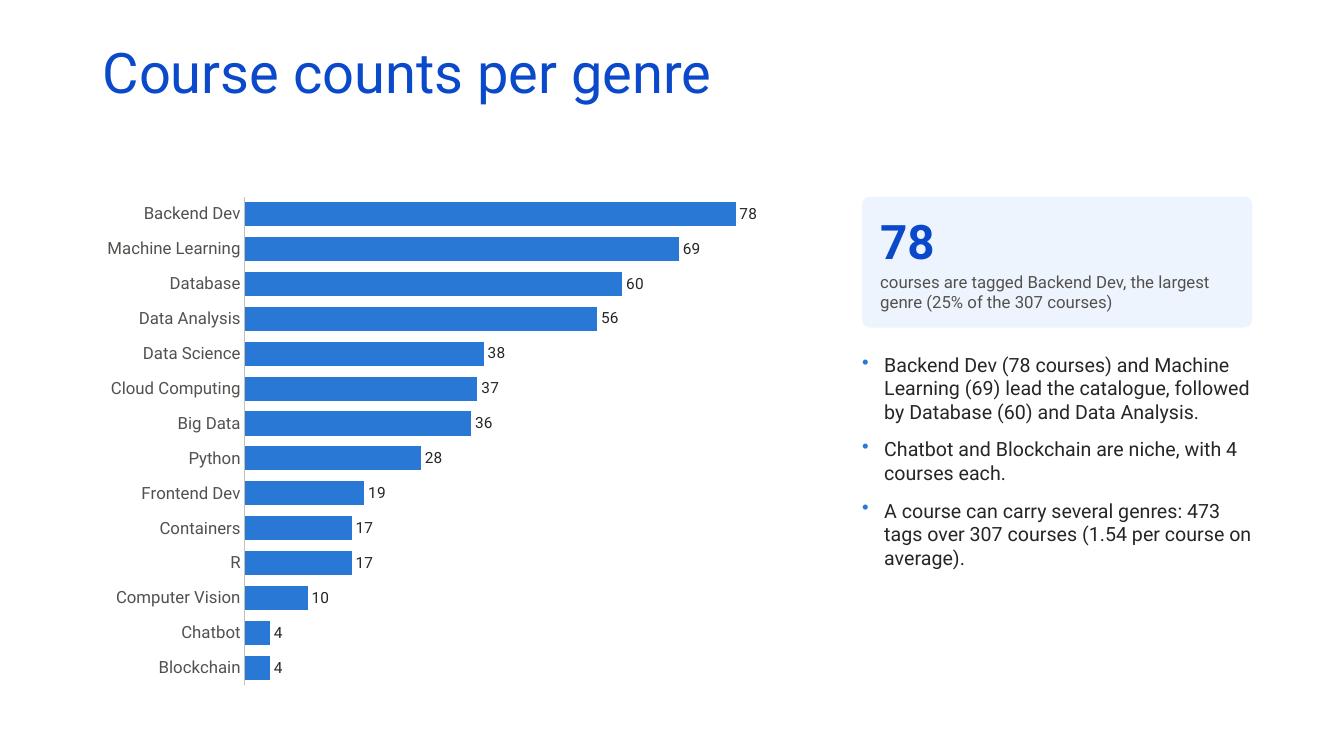
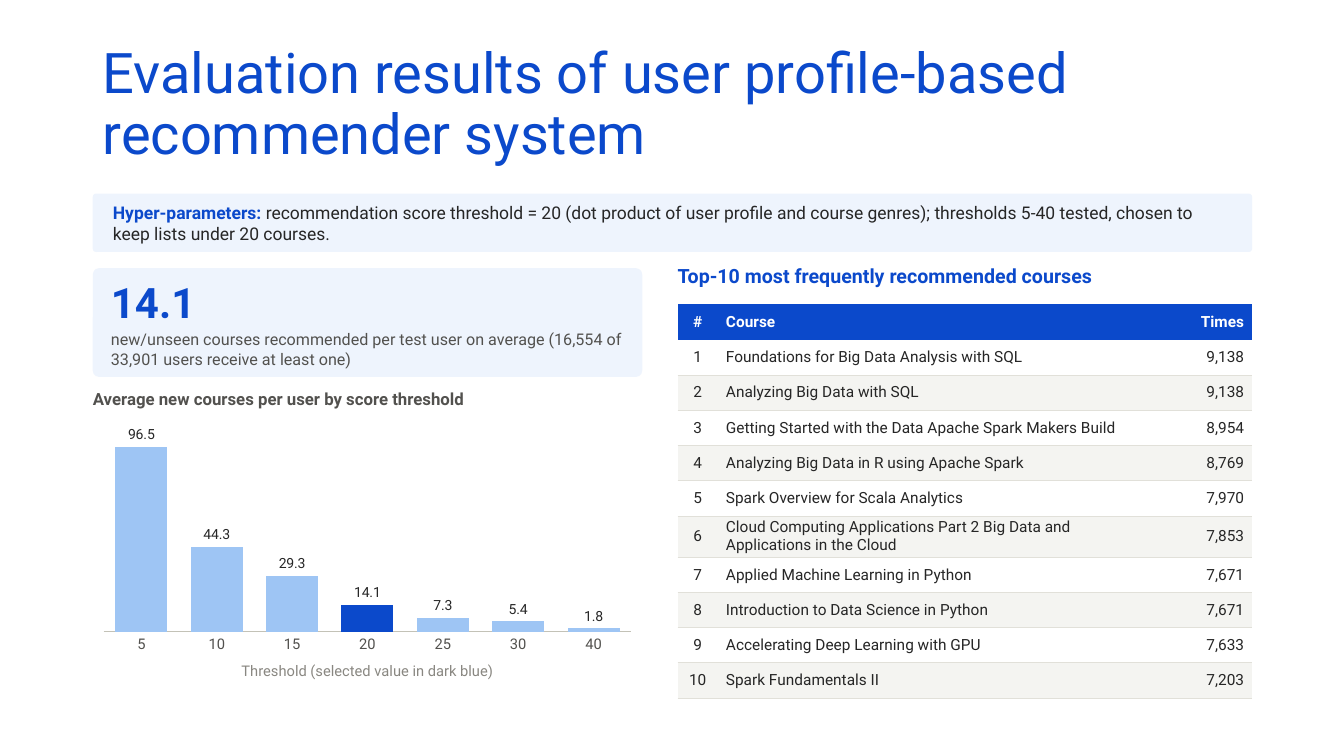
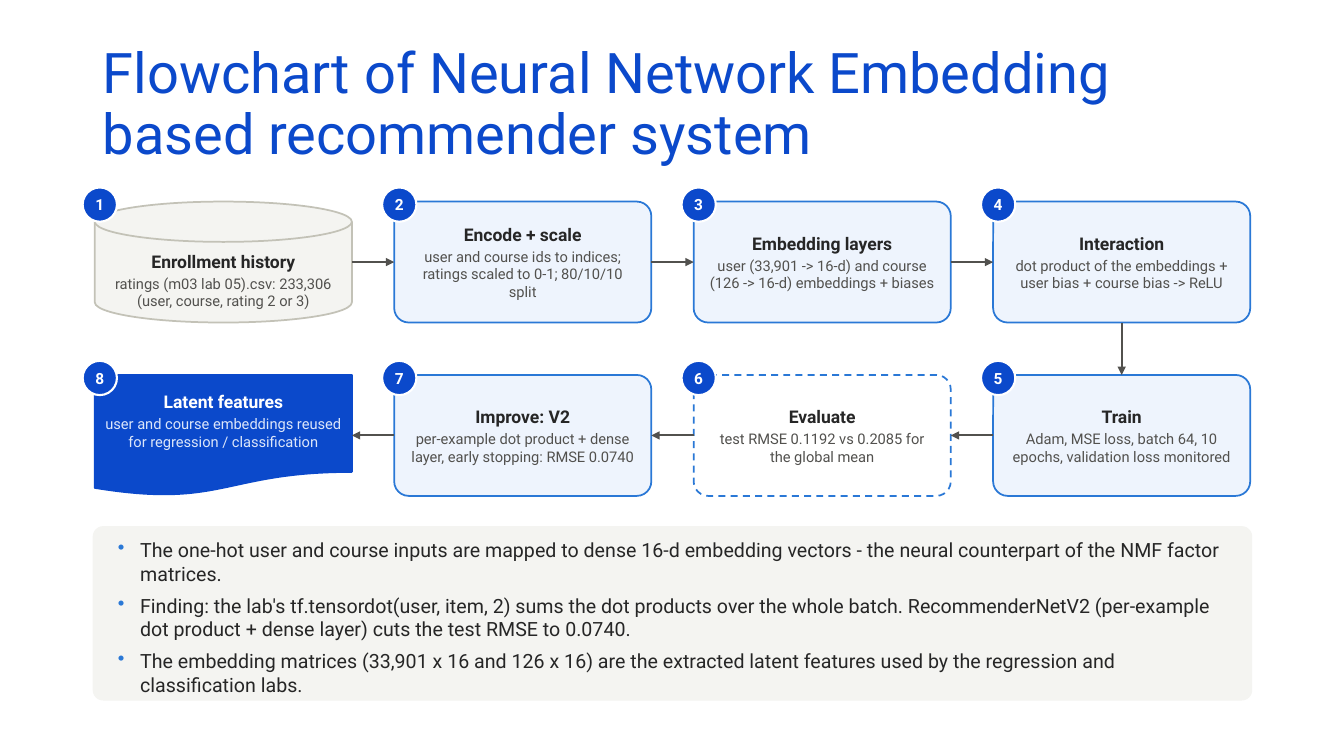
"""Build three slides on a course recommender: genre counts, evaluation and flowchart."""
from lxml.etree import SubElement
from pptx import Presentation
from pptx.chart.data import CategoryChartData
from pptx.dml.color import RGBColor
from pptx.enum.chart import XL_CHART_TYPE as ChartType
from pptx.enum.chart import XL_LABEL_POSITION as LabelPosition
from pptx.enum.chart import XL_TICK_MARK as TickMark
from pptx.enum.dml import MSO_LINE as LineStyle
from pptx.enum.shapes import MSO_CONNECTOR as Connector
from pptx.enum.shapes import MSO_SHAPE as Shape
from pptx.enum.text import MSO_ANCHOR as Anchor
from pptx.enum.text import MSO_AUTO_SIZE as AutoSize
from pptx.enum.text import PP_ALIGN as Align
from pptx.oxml.ns import qn
from pptx.util import Inches, Pt

FONT = "Roboto"
NAVY = RGBColor(0x0B, 0x49, 0xCB)
BLUE = RGBColor(0x2A, 0x78, 0xD6)
SKY = RGBColor(0x9E, 0xC5, 0xF4)
PALE = RGBColor(0xEE, 0xF4, 0xFD)
ICE = RGBColor(0xDC, 0xE6, 0xFA)
WHITE = RGBColor(0xFF, 0xFF, 0xFF)
INK = RGBColor(0x26, 0x26, 0x26)
GREY = RGBColor(0x52, 0x51, 0x4E)
MUTED = RGBColor(0x89, 0x87, 0x81)
AXIS = RGBColor(0xC3, 0xC2, 0xB7)
RULE = RGBColor(0xE1, 0xE0, 0xD9)
STONE = RGBColor(0xF4, 0xF4, 0xF1)
NO_TABLE_STYLE = "{2D5ABB26-0587-4C30-8999-92F81FD0307C}"

SLIDE_WIDTH, SLIDE_HEIGHT = 13.33, 7.5
LEFT, WIDTH = 0.92, 11.5
RIGHT = LEFT + WIDTH

GENRES = [
    ("Backend Dev", 78), ("Machine Learning", 69), ("Database", 60), ("Data Analysis", 56),
    ("Data Science", 38), ("Cloud Computing", 37), ("Big Data", 36), ("Python", 28),
    ("Frontend Dev", 19), ("Containers", 17), ("R", 17), ("Computer Vision", 10),
    ("Chatbot", 4), ("Blockchain", 4),
]
GENRE_NOTES = [
    "Backend Dev (78 courses) and Machine Learning (69) lead the catalogue, followed by "
    "Database (60) and Data Analysis.",
    "Chatbot and Blockchain are niche, with 4 courses each.",
    "A course can carry several genres: 473 tags over 307 courses (1.54 per course on average).",
]
THRESHOLDS = [("5", 96.5), ("10", 44.3), ("15", 29.3), ("20", 14.1), ("25", 7.3), ("30", 5.4),
              ("40", 1.8)]
SELECTED_THRESHOLD = "20"
HYPER_PARAMETERS = (
    "recommendation score threshold = 20 (dot product of user profile and course genres); "
    "thresholds 5-40 tested, chosen to keep lists under 20 courses."
)
TOP_COURSES = [
    ("Foundations for Big Data Analysis with SQL", "9,138"),
    ("Analyzing Big Data with SQL", "9,138"),
    ("Getting Started with the Data Apache Spark Makers Build", "8,954"),
    ("Analyzing Big Data in R using Apache Spark", "8,769"),
    ("Spark Overview for Scala Analytics", "7,970"),
    ("Cloud Computing Applications Part 2 Big Data and Applications in the Cloud", "7,853"),
    ("Applied Machine Learning in Python", "7,671"),
    ("Introduction to Data Science in Python", "7,671"),
    ("Accelerating Deep Learning with GPU", "7,633"),
    ("Spark Fundamentals II", "7,203"),
]
TABLE_COLUMNS = [(0.4, Align.CENTER), (4.35, Align.LEFT), (0.95, Align.RIGHT)]

STEPS = [
    ("Enrollment history", "ratings (m03 lab 05).csv: 233,306 (user, course, rating 2 or 3)",
     "data"),
    ("Encode + scale", "user and course ids to indices; ratings scaled to 0-1; 80/10/10 split",
     "process"),
    ("Embedding layers", "user (33,901 -> 16-d) and course (126 -> 16-d) embeddings + biases",
     "process"),
    ("Interaction", "dot product of the embeddings + user bias + course bias -> ReLU", "process"),
    ("Train", "Adam, MSE loss, batch 64, 10 epochs, validation loss monitored", "process"),
    ("Evaluate", "test RMSE 0.1192 vs 0.2085 for the global mean", "check"),
    ("Improve: V2", "per-example dot product + dense layer, early stopping: RMSE 0.0740",
     "process"),
    ("Latent features", "user and course embeddings reused for regression / classification",
     "output"),
]
STEP_STYLES = {
    "data": (Shape.FLOWCHART_MAGNETIC_DISK, STONE, AXIS, INK, GREY, 0.22, 0.06),
    "process": (Shape.ROUNDED_RECTANGLE, PALE, BLUE, INK, GREY, 0.06, 0.06),
    "check": (Shape.ROUNDED_RECTANGLE, WHITE, BLUE, INK, GREY, 0.06, 0.06),
    "output": (Shape.FLOWCHART_DOCUMENT, NAVY, NAVY, WHITE, ICE, 0.06, 0.12),
}
FLOW_NOTES = [
    "The one-hot user and course inputs are mapped to dense 16-d embedding vectors - the neural "
    "counterpart of the NMF factor matrices.",
    "Finding: the lab's tf.tensordot(user, item, 2) sums the dot products over the whole batch. "
    "RecommenderNetV2 (per-example dot product + dense layer) cuts the test RMSE to 0.0740.",
    "The embedding matrices (33,901 x 16 and 126 x 16) are the extracted latent features used by "
    "the regression and classification labs.",
]


def box(*lengths):
    return [Inches(length) for length in lengths]


def set_font(font, size, color, bold=False):
    font.name, font.size, font.bold = FONT, Pt(size), bold
    font.color.rgb = color


def set_margins(target, left, top, right, bottom):
    target.margin_left, target.margin_top, target.margin_right, target.margin_bottom = box(
        left, top, right, bottom)


def write(frame, lines, align=Align.LEFT, gap=0, bullets=False):
    """Fill a text frame; each line is a list of (text, size, color, bold) runs."""
    frame.word_wrap = True
    for index, runs in enumerate(lines):
        paragraph = frame.paragraphs[0] if index == 0 else frame.add_paragraph()
        paragraph.alignment = align
        if index < len(lines) - 1:
            paragraph.space_after = Pt(gap)
        if bullets:
            add_bullet(paragraph)
        for text, *style in runs:
            run = paragraph.add_run()
            run.text = text
            set_font(run.font, *style)


def add_bullet(paragraph):
    properties = paragraph._p.get_or_add_pPr()
    properties.set("marL", str(Inches(0.22)))
    properties.set("indent", str(-Inches(0.22)))
    color = SubElement(properties, qn("a:buClr"))
    SubElement(color, qn("a:srgbClr"), val=str(BLUE))
    SubElement(properties, qn("a:buChar"), char="•")


def add_text(slide, place, lines, anchor=Anchor.TOP, **options):
    frame = slide.shapes.add_textbox(*box(*place)).text_frame
    set_margins(frame, 0, 0, 0, 0)
    frame.vertical_anchor = anchor
    write(frame, lines, **options)
    frame.auto_size = AutoSize.SHAPE_TO_FIT_TEXT


def add_notes_list(slide, place, notes, gap):
    add_text(slide, place, [[(note, 14, INK)] for note in notes], gap=gap, bullets=True)


def add_shape(slide, kind, place, fill, line=None, line_width=1.25, corner=None):
    shape = slide.shapes.add_shape(kind, *box(*place))
    shape.shadow.inherit = False
    shape.fill.solid()
    shape.fill.fore_color.rgb = fill
    if line is None:
        shape.line.fill.background()
    else:
        shape.line.color.rgb = line
        shape.line.width = Pt(line_width)
    if corner is not None:
        shape.adjustments[0] = corner
    return shape


def add_panel(slide, place, fill=PALE):
    add_shape(slide, Shape.ROUNDED_RECTANGLE, place, fill, corner=0.06)


def add_stat(slide, place, number, caption, number_size, caption_size):
    left, top, width, height = place
    add_panel(slide, place)
    add_text(slide, (left + 0.18, top + 0.12, width - 0.36, height - 0.24),
             [[(number, number_size, NAVY, True)], [(caption, caption_size, GREY)]],
             anchor=Anchor.MIDDLE, gap=2)


def add_titled_slide(presentation, title):
    slide = presentation.slides.add_slide(presentation.slide_layouts[6])
    frame = slide.shapes.add_textbox(*box(LEFT, 0.4, WIDTH, 1.45)).text_frame
    write(frame, [[(title, 40, NAVY)]])
    frame.paragraphs[0].line_spacing = 0.9
    return slide


def add_bars(slide, kind, place, data, color, size, label_size, number_format, headroom):
    chart_data = CategoryChartData()
    chart_data.categories = [name for name, _ in data]
    values = [value for _, value in data]
    chart_data.add_series("Series 1", values)
    chart = slide.shapes.add_chart(kind, *box(*place), chart_data).chart
    chart.has_legend = chart.has_title = False
    set_font(chart.font, size, GREY)

    value_axis = chart.value_axis
    value_axis.visible = value_axis.has_major_gridlines = False
    value_axis.minimum_scale = 0
    value_axis.maximum_scale = round(max(values) * headroom, 2)
    category_axis = chart.category_axis
    category_axis.has_major_gridlines = False
    category_axis.major_tick_mark = category_axis.minor_tick_mark = TickMark.NONE
    category_axis.format.line.color.rgb = AXIS
    category_axis.format.line.width = Pt(0.75)
    set_font(category_axis.tick_labels.font, size, GREY)

    plot = chart.plots[0]
    plot.gap_width = 45
    plot.vary_by_categories = False
    series = plot.series[0]
    series.format.fill.solid()
    series.format.fill.fore_color.rgb = color
    labels = series.data_labels
    labels.show_value = True
    labels.position = LabelPosition.OUTSIDE_END
    labels.number_format, labels.number_format_is_linked = number_format, False
    set_font(labels.font, label_size, INK)
    return chart


def fill_cell(cell, text, align, fill, color, is_header):
    set_margins(cell, 0.08, 0.02, 0.08, 0.02)
    cell.vertical_anchor = Anchor.MIDDLE
    write(cell.text_frame, [[(text, 11, color, is_header)]], align)
    if not is_header:
        border = SubElement(cell._tc.get_or_add_tcPr(), qn("a:lnB"), w=str(Pt(0.75)))
        SubElement(SubElement(border, qn("a:solidFill")), qn("a:srgbClr"), val=str(RULE))
    cell.fill.solid()
    cell.fill.fore_color.rgb = fill


def add_course_table(slide, left, top, row_height=0.35):
    rows = [("#", "Course", "Times")]
    rows += [(str(rank), *course) for rank, course in enumerate(TOP_COURSES, 1)]
    width = sum(column_width for column_width, _ in TABLE_COLUMNS)
    table = slide.shapes.add_table(len(rows), len(TABLE_COLUMNS),
                                   *box(left, top, width, row_height * len(rows))).table
    table.first_row = table.horz_banding = False
    table._tbl.tblPr.find(qn("a:tableStyleId")).text = NO_TABLE_STYLE
    for column, (column_width, _) in zip(table.columns, TABLE_COLUMNS):
        column.width = Inches(column_width)
    for r, row in enumerate(rows):
        table.rows[r].height = Inches(row_height)
        fill = NAVY if r == 0 else WHITE if r % 2 else STONE
        for c, text in enumerate(row):
            fill_cell(table.cell(r, c), text, TABLE_COLUMNS[c][1], fill,
                      WHITE if r == 0 else INK, r == 0)


def add_step(slide, number, left, top, width, height):
    name, detail, style = STEPS[number - 1]
    kind, fill, line, name_color, detail_color, pad_top, pad_bottom = STEP_STYLES[style]
    corner = 0.12 if kind == Shape.ROUNDED_RECTANGLE else None
    step = add_shape(slide, kind, (left, top, width, height), fill, line, corner=corner)
    if style == "check":
        step.line.dash_style = LineStyle.DASH
    badge = add_shape(slide, Shape.OVAL, (left - 0.12, top - 0.14, 0.34, 0.34), NAVY, WHITE, 1.5)
    set_margins(step.text_frame, 0.1, pad_top, 0.1, pad_bottom)
    set_margins(badge.text_frame, 0, 0, 0, 0)
    write(step.text_frame, [[(name, 12.5, name_color, True)], [(detail, 10.5, detail_color)]],
          Align.CENTER, gap=2)
    write(badge.text_frame, [[(str(number), 11, WHITE, True)]], Align.CENTER)
    for shape in (step, badge):
        shape.text_frame.vertical_anchor = Anchor.MIDDLE
    return step


def side_middle(shape, side):
    across, down = [(0.5, 0), (0, 0.5), (0.5, 1), (1, 0.5)][side]
    return int(shape.left + shape.width * across), int(shape.top + shape.height * down)


def add_arrow(slide, start, start_side, end, end_side):
    arrow = slide.shapes.add_connector(
        Connector.STRAIGHT, *side_middle(start, start_side), *side_middle(end, end_side))
    if start.auto_shape_type != Shape.FLOWCHART_MAGNETIC_DISK:
        arrow.begin_connect(start, start_side)
    arrow.end_connect(end, end_side)
    arrow.line.color.rgb = GREY
    arrow.line.width = Pt(1.5)
    SubElement(arrow.line._get_or_add_ln(), qn("a:tailEnd"), type="triangle")
    SubElement(arrow._element.spPr, qn("a:effectLst"))


def build_genres(presentation):
    slide = add_titled_slide(presentation, "Course counts per genre")
    chart = add_bars(slide, ChartType.BAR_CLUSTERED, (LEFT, 1.85, 7.3, 5.05), GENRES, BLUE,
                     12, 11, "0", 1.16)
    chart.category_axis.reverse_order = True
    left = 8.55
    add_stat(slide, (left, 1.95, RIGHT - left, 1.3), "78",
             "courses are tagged Backend Dev, the largest genre (25% of the 307 courses)", 34, 12)
    add_notes_list(slide, (left, 3.5, RIGHT - left, 3.4), GENRE_NOTES, 10)


def build_evaluation(presentation):
    slide = add_titled_slide(presentation,
                             "Evaluation results of user profile-based recommender system")
    add_panel(slide, (LEFT, 1.92, WIDTH, 0.58))
    add_text(slide, (LEFT + 0.2, 1.92, 11, 0.58),
             [[("Hyper-parameters: ", 12.5, NAVY, True), (HYPER_PARAMETERS, 12.5, INK)]],
             anchor=Anchor.MIDDLE)
    chart_width = 5.45
    add_stat(slide, (LEFT, 2.66, chart_width, 1.08), "14.1",
             "new/unseen courses recommended per test user on average "
             "(16,554 of 33,901 users receive at least one)", 30, 11.5)
    add_text(slide, (LEFT, 3.86, chart_width, 0.32),
             [[("Average new courses per user by score threshold", 12, GREY, True)]])
    chart = add_bars(slide, ChartType.COLUMN_CLUSTERED, (LEFT, 4.16, chart_width, 2.79),
                     THRESHOLDS, SKY, 10.5, 10, "0.0", 1.12)
    title = chart.category_axis.axis_title.text_frame
    title.text = "Threshold (selected value in dark blue)"
    set_font(title.paragraphs[0].runs[0].font, 10.5, MUTED)
    selected = [name for name, _ in THRESHOLDS].index(SELECTED_THRESHOLD)
    point_fill = chart.plots[0].series[0].points[selected].format.fill
    point_fill.solid()
    point_fill.fore_color.rgb = NAVY
    left = 6.72
    add_text(slide, (left, 2.62, RIGHT - left, 0.35),
             [[("Top-10 most frequently recommended courses", 14, NAVY, True)]])
    add_course_table(slide, left, 3.02)


def build_flowchart(presentation):
    slide = add_titled_slide(presentation,
                             "Flowchart of Neural Network Embedding based recommender system")
    step_width, step_height, gap_across, gap_down = 2.55, 1.2, 0.42, 0.52
    per_row = len(STEPS) // 2
    steps = []
    for index in range(len(STEPS)):
        row, column = divmod(index, per_row)
        if row:
            column = per_row - 1 - column
        steps.append(add_step(slide, index + 1, 0.94 + column * (step_width + gap_across),
                              2 + row * (step_height + gap_down), step_width, step_height))
    for index, (start, end) in enumerate(zip(steps, steps[1:]), 1):
        sides = (3, 1) if index < per_row else (2, 0) if index == per_row else (1, 3)
        add_arrow(slide, start, sides[0], end, sides[1])
    add_panel(slide, (LEFT, 5.22, WIDTH, 1.73), STONE)
    add_notes_list(slide, (LEFT + 0.25, 5.34, WIDTH - 0.5, 1.53), FLOW_NOTES, 6)


def main():
    presentation = Presentation()
    presentation.slide_width, presentation.slide_height = box(SLIDE_WIDTH, SLIDE_HEIGHT)
    build_genres(presentation)
    build_evaluation(presentation)
    build_flowchart(presentation)
    presentation.save("out.pptx")


if __name__ == "__main__":
    main()
